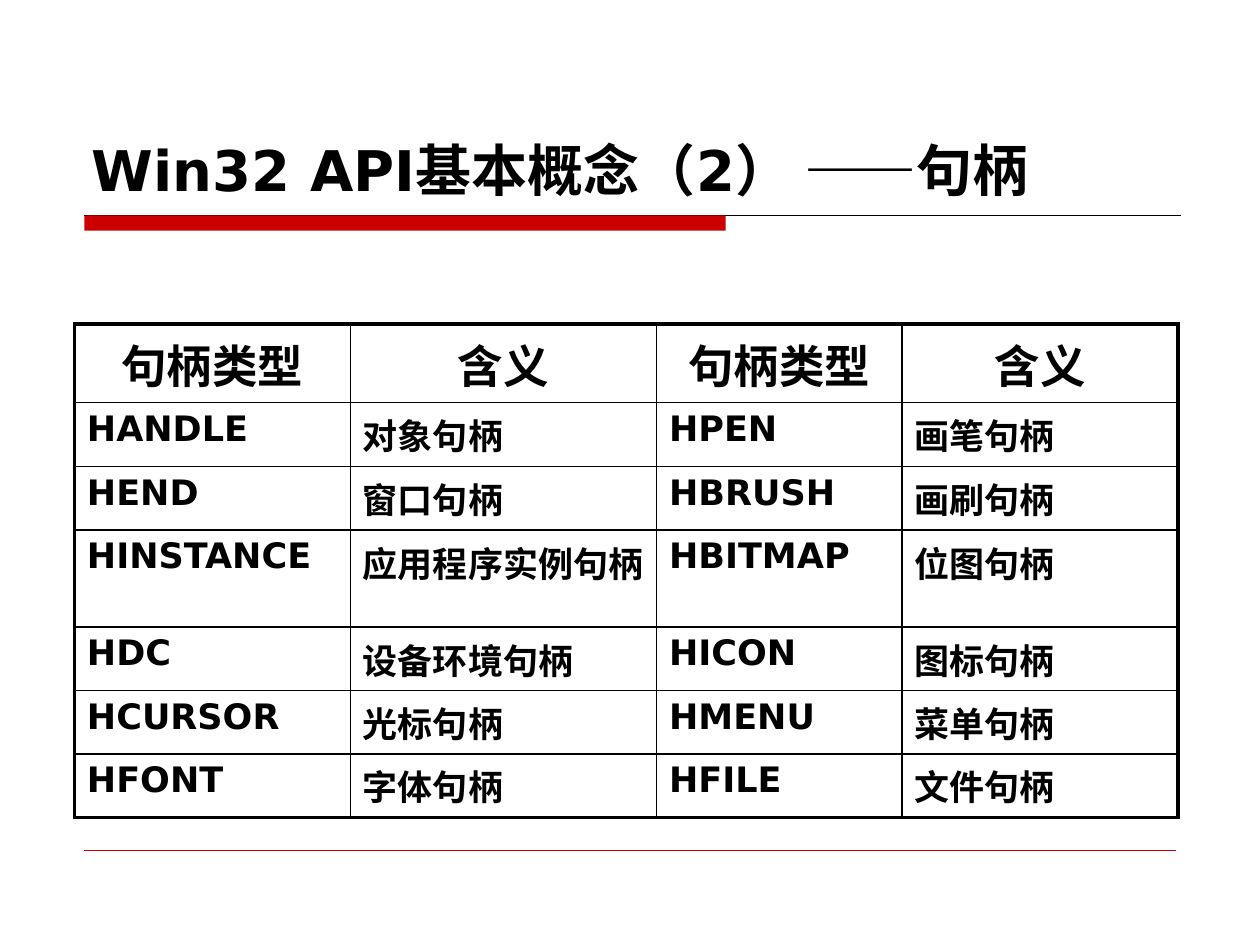
from lxml import etree
from pptx import Presentation
from pptx.dml.color import RGBColor
from pptx.enum.shapes import MSO_CONNECTOR, MSO_SHAPE
from pptx.enum.text import MSO_ANCHOR, MSO_AUTO_SIZE, PP_ALIGN
from pptx.oxml import parse_xml
from pptx.oxml.ns import nsdecls, qn
from pptx.util import Inches, Pt

STRAIGHT = MSO_CONNECTOR.STRAIGHT
RECTANGLE = MSO_SHAPE.RECTANGLE
BOTTOM, TOP = MSO_ANCHOR.BOTTOM, MSO_ANCHOR.TOP
NO_FIT = MSO_AUTO_SIZE.NONE
LEFT, CENTER = PP_ALIGN.LEFT, PP_ALIGN.CENTER

COLORS = {"text": "000000", "accent": "CC0000", "border": "000000"}
TITLE_PARTS = [("Win32 API基本概念（2） ", "DejaVu Sans"),
               ("——", "Arial"),
               ("句柄", "DejaVu Sans")]
HANDLES = [
    ("句柄类型", "含义", "句柄类型", "含义"),
    ("HANDLE", "对象句柄", "HPEN", "画笔句柄"),
    ("HEND", "窗口句柄", "HBRUSH", "画刷句柄"),
    ("HINSTANCE", "应用程序实例句柄", "HBITMAP", "位图句柄"),
    ("HDC", "设备环境句柄", "HICON", "图标句柄"),
    ("HCURSOR", "光标句柄", "HMENU", "菜单句柄"),
    ("HFONT", "字体句柄", "HFILE", "文件句柄"),
]
COLUMN_WIDTHS = [2.19, 2.43, 1.95, 2.19]
ROW_HEIGHTS = [0.62, 0.51, 0.5, 0.77, 0.5, 0.5, 0.5]
OUTER, INNER = 2.25, 1


def add_text(paragraph, text, *, size, font="DejaVu Sans", color="text",
             bold=True, align=LEFT):
    paragraph.alignment = align
    run = paragraph.add_run()
    run.text = text
    run.font.size = Pt(size)
    run.font.bold = bold
    run.font.name = font
    run.font.color.rgb = RGBColor.from_string(COLORS[color])


def add_rule(slide, left, top, width, *, color, weight):
    rule = slide.shapes.add_connector(STRAIGHT, Inches(left), Inches(top),
                                      Inches(left + width), Inches(top))
    rule.line.color.rgb = RGBColor.from_string(COLORS[color])
    rule.line.width = Pt(weight)
    etree.SubElement(rule._element.spPr, qn("a:effectLst"))


def add_title(slide, left, top, width, height):
    title = slide.shapes.title
    title.left, title.top = Inches(left), Inches(top)
    title.width, title.height = Inches(width), Inches(height)
    frame = title.text_frame
    frame.auto_size = NO_FIT
    frame.word_wrap = True
    frame.vertical_anchor = BOTTOM
    for text, font in TITLE_PARTS:
        add_text(frame.paragraphs[0], text, size=32, font=font)


def add_title_bar(slide, left, top, width, height):
    """Thin full-width rule with a thick accent bar under its left part."""
    add_rule(slide, left, top, width, color="border", weight=0.75)
    bar = slide.shapes.add_shape(RECTANGLE, Inches(left), Inches(top),
                                 Inches(5.09), Inches(height))
    bar.shadow.inherit = False
    bar.fill.solid()
    bar.fill.fore_color.rgb = RGBColor.from_string(COLORS["accent"])
    bar.line.fill.background()


def set_borders(cell, weights):
    """Draw the sides in weights, given in points, in schema order."""
    properties = cell._tc.get_or_add_tcPr()
    for position, (side, weight) in enumerate(weights.items()):
        properties.insert(position, parse_xml(
            f'<a:{side} {nsdecls("a")} w="{Pt(weight)}"><a:solidFill>'
            f'<a:srgbClr val="{COLORS["border"]}"/></a:solidFill></a:{side}>'))


def set_space_before(paragraph, percent):
    """Space the paragraph by a share of its line height."""
    paragraph._p.get_or_add_pPr().insert(0, parse_xml(
        f'<a:spcBef {nsdecls("a")}><a:spcPct val="{percent * 1000}"/></a:spcBef>'))


def add_handle_table(slide, left, top, width, height):
    rows, columns = len(HANDLES), len(HANDLES[0])
    table = slide.shapes.add_table(rows, columns, Inches(left), Inches(top),
                                   Inches(width), Inches(height)).table
    table.first_row = table.horz_banding = False
    for column, column_width in zip(table.columns, COLUMN_WIDTHS):
        column.width = Inches(column_width)
    for row, row_height in zip(table.rows, ROW_HEIGHTS):
        row.height = Inches(row_height)
    for r, entries in enumerate(HANDLES):
        for c, entry in enumerate(entries):
            cell = table.cell(r, c)
            cell.fill.background()
            cell.vertical_anchor = TOP
            paragraph = cell.text_frame.paragraphs[0]
            add_text(paragraph, entry, size=20 if r else 26,
                     align=LEFT if r else CENTER)
            set_space_before(paragraph, 20)
            set_borders(cell, {
                "lnL": OUTER if c == 0 else INNER,
                "lnR": OUTER if c == columns - 1 else INNER,
                "lnT": OUTER if r == 0 else INNER,
                "lnB": OUTER if r == rows - 1 else INNER,
            })


def main():
    deck = Presentation()
    deck.slide_width, deck.slide_height = Inches(10), Inches(7.5)
    slide = deck.slides.add_slide(deck.slide_layouts[5])
    add_title_bar(slide, 0.67, 1.71, 8.7, 0.12)
    add_rule(slide, 0.67, 6.75, 8.66, color="accent", weight=0.25)
    add_title(slide, 0.63, 0.33, 8.75, 1.33)
    add_handle_table(slide, 0.59, 2.57, 8.75, sum(ROW_HEIGHTS))
    deck.save("out.pptx")


if __name__ == "__main__":
    main()
